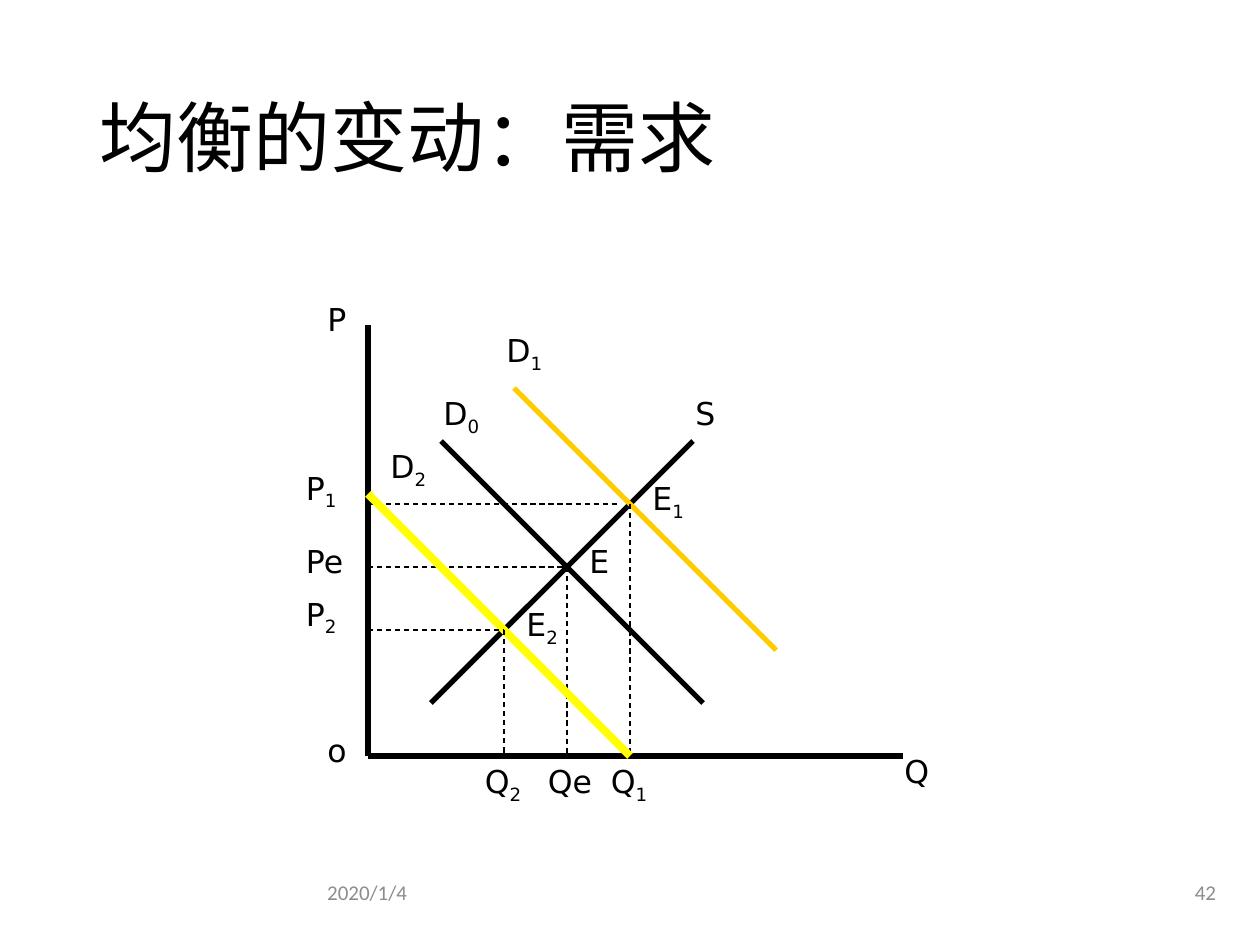
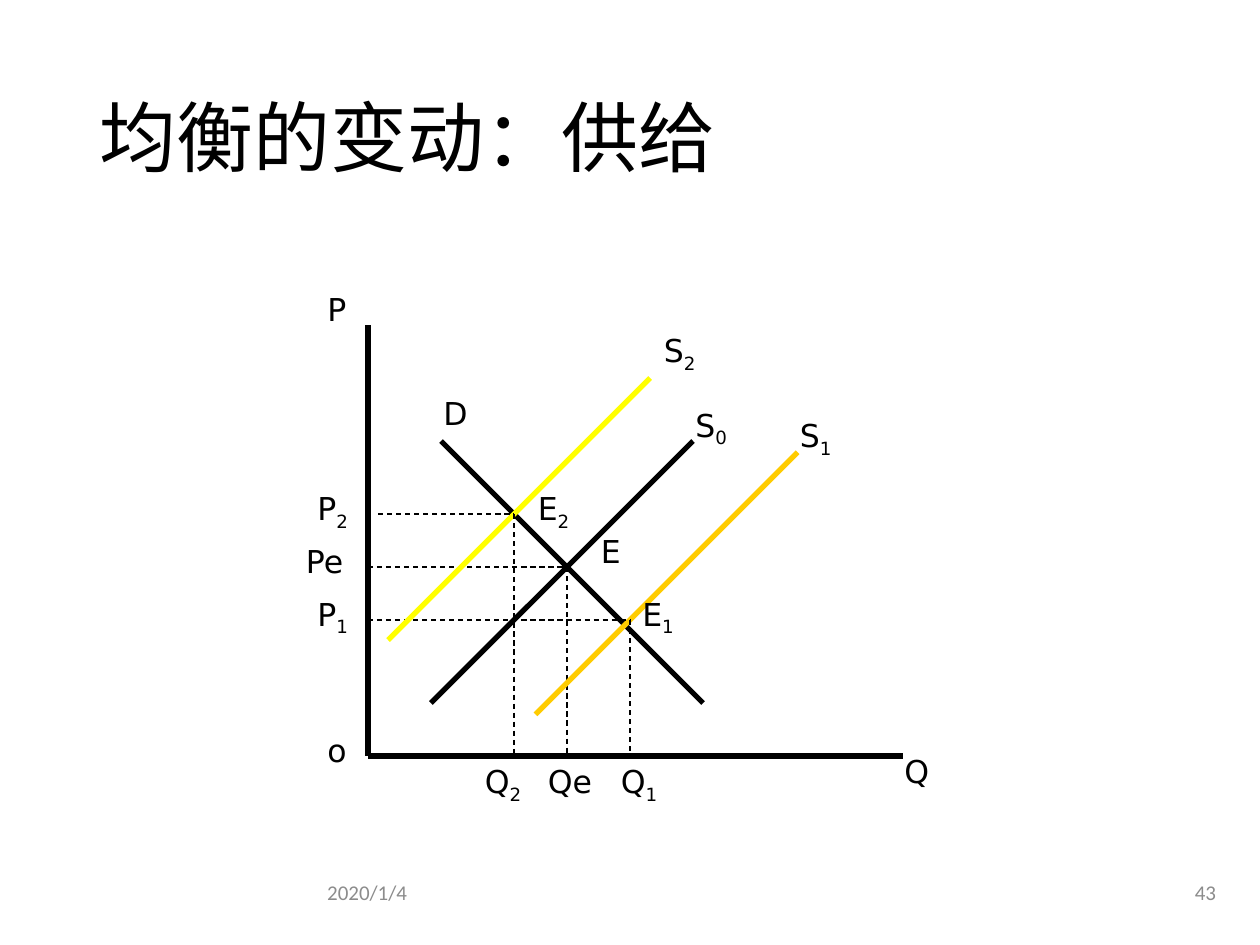
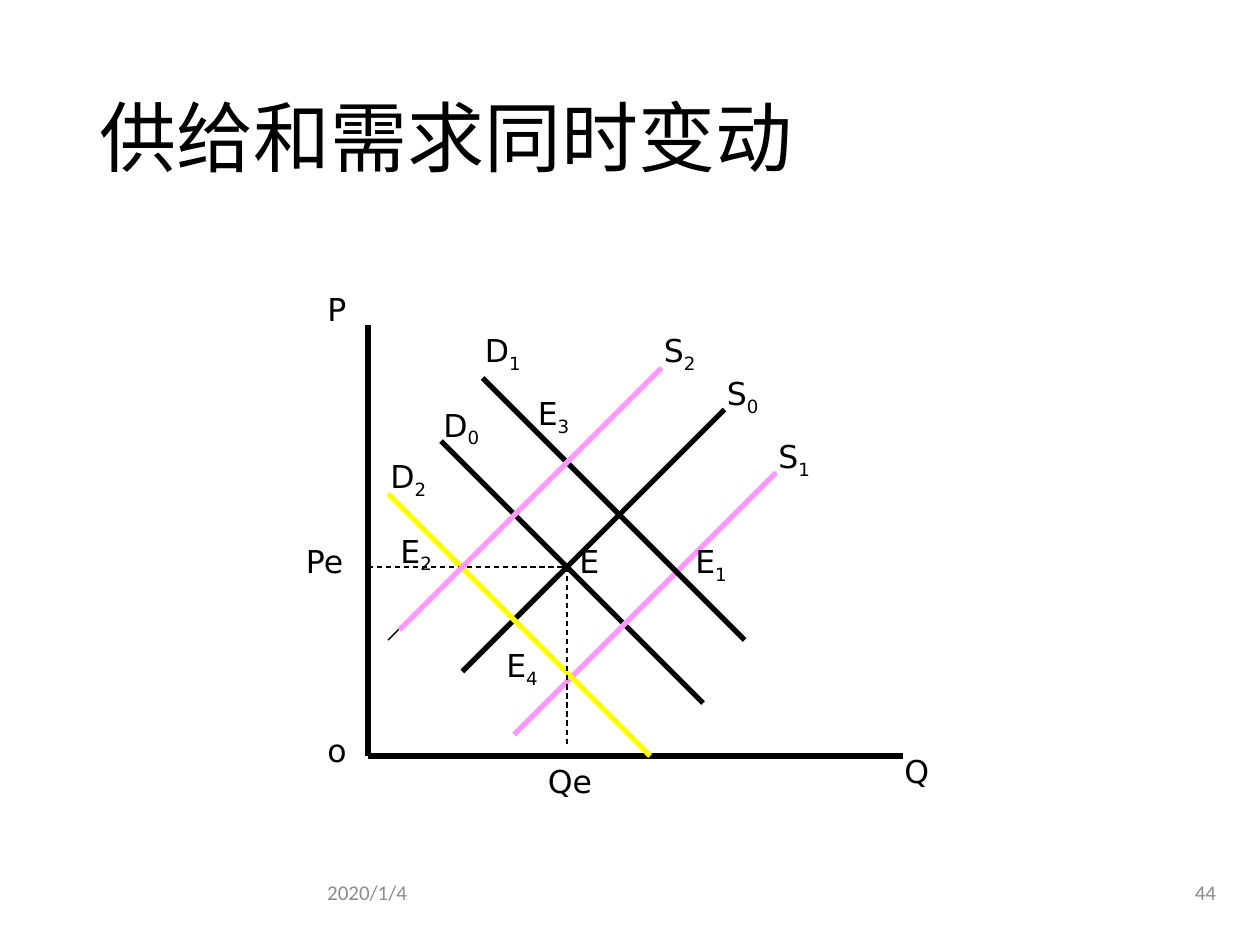
from pptx import Presentation
from pptx.dml.color import RGBColor
from pptx.enum.dml import MSO_LINE
from pptx.enum.shapes import MSO_CONNECTOR
from pptx.enum.text import MSO_ANCHOR, MSO_AUTO_SIZE, PP_ALIGN
from pptx.oxml.ns import qn
from pptx.util import Inches, Pt
from lxml.etree import SubElement

BLACK = RGBColor(0x00, 0x00, 0x00)
GREY = RGBColor(0x8C, 0x8C, 0x8C)
ORANGE = RGBColor(0xFF, 0xCC, 0x00)
YELLOW = RGBColor(0xFF, 0xFF, 0x00)
PINK = RGBColor(0xFF, 0x99, 0xFF)

TEXT_FONT = "Calibri"
LABEL_FONT = "DejaVu Sans"
AXIS_LEFT, AXIS_TOP, AXIS_RIGHT, AXIS_BOTTOM = 2.92, 2.58, 7.17, 6
CURVE_SPAN = 2.08
DATE = "2020/1/4"


class MarketDeck:
    """Holds the shared style and the current slide of the market diagrams."""

    def __init__(self):
        self.presentation = Presentation()
        self.presentation.slide_width = Inches(10)
        self.presentation.slide_height = Inches(7.5)
        self.slide = None

    def start_slide(self, title, number, price_top):
        """Add a slide with its title, footer and labelled axes."""
        self.slide = self.presentation.slides.add_slide(self.presentation.slide_layouts[6])
        heading = self.text(title, 0.69, 0.4, 8.62, 1.45, 44)
        heading.vertical_anchor = MSO_ANCHOR.MIDDLE
        heading.paragraphs[0].line_spacing = 0.9
        for footer, left in ((DATE, 1.25), (str(number), 7.67)):
            frame = self.text(footer, left, 6.83, 2.08, 0.5, 12, color=GREY)
            frame.vertical_anchor = MSO_ANCHOR.MIDDLE
            frame.paragraphs[0].alignment = PP_ALIGN.RIGHT
        self.line(AXIS_LEFT, AXIS_TOP, AXIS_LEFT, AXIS_BOTTOM)
        self.line(AXIS_LEFT, AXIS_BOTTOM, AXIS_RIGHT, AXIS_BOTTOM)
        self.labels(("P", 2.5, price_top), ("o", 2.5, 5.75), ("Q", 7.08, 5.92),
                    ("Pe", 2.33, 4.25), ("Qe", 4.25, 6))

    def text(self, text, left, top, width, height, size, font=TEXT_FONT, color=BLACK):
        """Add a wrapped text box and return its text frame."""
        box = self.slide.shapes.add_textbox(
            Inches(left), Inches(top), Inches(width), Inches(height))
        frame = box.text_frame
        frame.word_wrap = True
        frame.text = text
        self.style(frame.paragraphs[0].runs[0], size, font, color)
        return frame

    def style(self, run, size, font, color):
        """Set the font of one run."""
        run.font.size = Pt(size)
        run.font.name = font
        run.font.color.rgb = color

    def labels(self, *entries):
        """Add diagram labels; text after an underscore becomes a subscript."""
        for text, left, top in entries:
            base, _, subscript = text.partition("_")
            width = 1 if subscript else 0.92 if len(base) > 1 else 0.58
            frame = self.text(base, left, top, width, 0.5, 18, LABEL_FONT)
            frame.auto_size = MSO_AUTO_SIZE.SHAPE_TO_FIT_TEXT
            if subscript:
                run = frame.paragraphs[0].add_run()
                run.text = subscript
                self.style(run, 18, LABEL_FONT, BLACK)
                run._r.get_or_add_rPr().set("baseline", "-25000")

    def line(self, x1, y1, x2, y2, color=BLACK, width=3.0, dashed=False):
        """Add a straight line without shadow."""
        connector = self.slide.shapes.add_connector(
            MSO_CONNECTOR.STRAIGHT, Inches(x1), Inches(y1), Inches(x2), Inches(y2))
        connector.line.color.rgb = color
        connector.line.width = Pt(width)
        if dashed:
            connector.line.dash_style = MSO_LINE.DASH
        SubElement(connector._element.spPr, qn("a:effectLst"))

    def demand(self, left, top, color=BLACK, width=3.0):
        """Add a falling curve from its upper left end."""
        self.line(left, top, left + CURVE_SPAN, top + CURVE_SPAN, color, width)

    def supply(self, left, bottom, color=BLACK, width=3.0):
        """Add a rising curve from its lower left end."""
        self.line(left, bottom, left + CURVE_SPAN, bottom - CURVE_SPAN, color, width)

    def guides(self, x, y, left=AXIS_LEFT, right=None, bottom=AXIS_BOTTOM):
        """Add dashed lines from an equilibrium to both axes."""
        self.line(left, y, right or x, y, width=0.75, dashed=True)
        self.line(x, y, x, bottom, width=0.75, dashed=True)


def add_demand_shift(deck):
    """Build the slide on shifts of demand."""
    deck.start_slide("均衡的变动：需求", 42, 2.33)
    deck.demand(3.5, 3.5)
    deck.supply(3.42, 5.58)
    deck.guides(4.5, 4.5)
    deck.demand(4.08, 3.08, ORANGE)
    deck.guides(5, 4, right=4.92)
    deck.demand(AXIS_LEFT, 3.92, YELLOW, 4.5)
    deck.guides(4, 5)
    deck.labels(
        ("D_0", 3.42, 3.08), ("D_1", 3.92, 2.58), ("D_2", 3, 3.5), ("S", 5.42, 3.08),
        ("E", 4.58, 4.25), ("E_1", 5.08, 3.75), ("E_2", 4.08, 4.75),
        ("P_1", 2.33, 3.67), ("P_2", 2.33, 4.67), ("Q_1", 4.75, 6), ("Q_2", 3.75, 6))


def add_supply_shift(deck):
    """Build the slide on shifts of supply."""
    deck.start_slide("均衡的变动：供给", 43, 2.25)
    deck.demand(3.5, 3.5)
    deck.supply(3.42, 5.58)
    deck.guides(4.5, 4.5)
    deck.supply(4.25, 5.67, ORANGE)
    deck.guides(5, 4.92)
    deck.supply(3.08, 5.08, YELLOW)
    deck.guides(4.08, 4.08, left=3)
    deck.labels(
        ("D", 3.42, 3.08), ("S_0", 5.42, 3.17), ("S_1", 6.25, 3.25), ("S_2", 5.17, 2.58),
        ("E", 4.67, 4.17), ("E_1", 5, 4.67), ("E_2", 4.17, 3.83),
        ("P_1", 2.42, 4.67), ("P_2", 2.42, 3.83), ("Q_1", 4.83, 6), ("Q_2", 3.75, 6))


def add_joint_shift(deck):
    """Build the slide on supply and demand shifting together."""
    deck.start_slide("供给和需求同时变动", 44, 2.25)
    deck.demand(3.5, 3.5)
    deck.supply(3.67, 5.33)
    deck.supply(4.08, 5.83, PINK)
    deck.supply(3.08, 5.08, width=0.75)
    deck.demand(3.83, 3)
    deck.demand(3.08, 3.92, YELLOW)
    deck.guides(4.5, 4.5, bottom=5.92)
    deck.supply(3.17, 5, PINK)
    deck.labels(
        ("D_0", 3.42, 3.17), ("D_1", 3.75, 2.58), ("D_2", 3, 3.58),
        ("S_0", 5.67, 2.92), ("S_1", 6.08, 3.42), ("S_2", 5.17, 2.58),
        ("E", 4.5, 4.25), ("E_1", 5.42, 4.25), ("E_2", 3.08, 4.17),
        ("E_3", 4.17, 3.08), ("E_4", 3.92, 5.08))


def main():
    """Build and save the three slides."""
    deck = MarketDeck()
    add_demand_shift(deck)
    add_supply_shift(deck)
    add_joint_shift(deck)
    deck.presentation.save("out.pptx")


if __name__ == "__main__":
    main()
